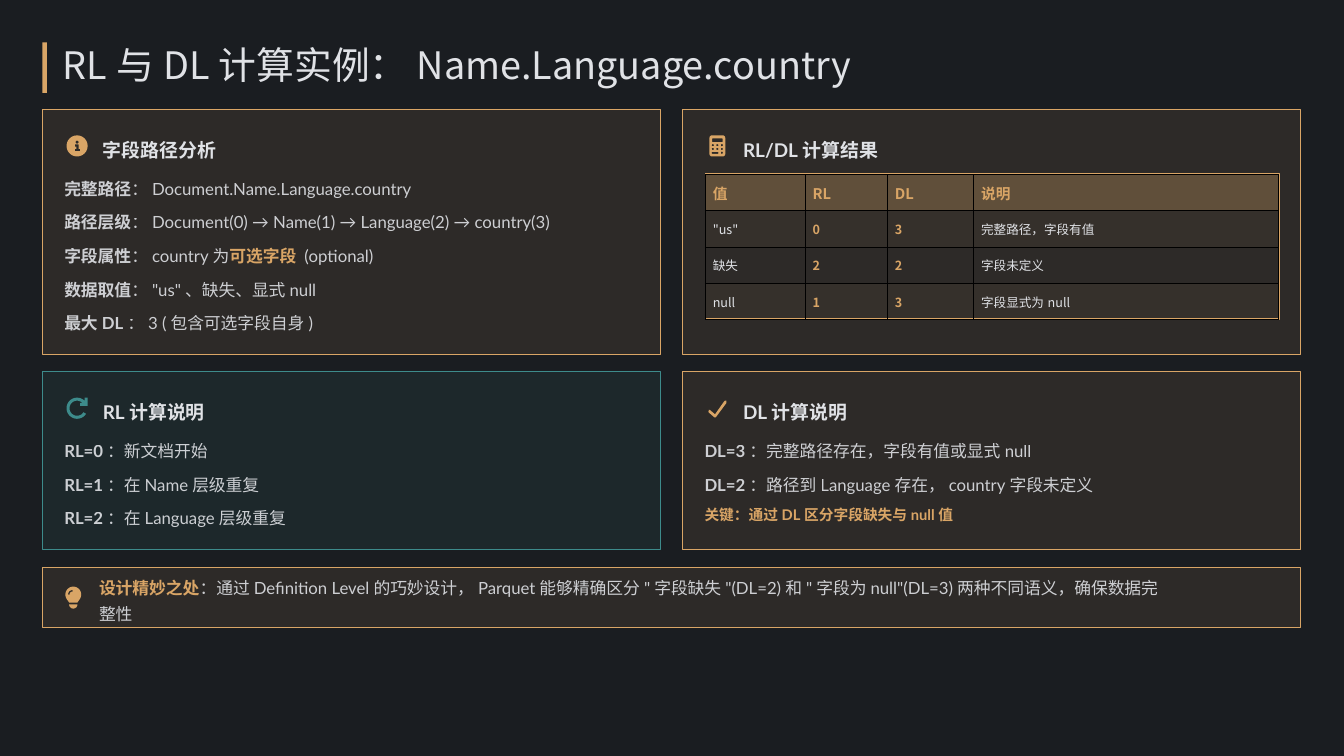
from math import cos, radians, sin

from lxml import etree
from pptx import Presentation
from pptx.dml.color import RGBColor
from pptx.enum.shapes import MSO_SHAPE as SHAPE
from pptx.enum.text import MSO_ANCHOR as ANCHOR
from pptx.oxml import parse_xml
from pptx.oxml.ns import nsdecls, qn
from pptx.util import Inches, Pt

BG = RGBColor(0x1A, 0x1D, 0x21)
GOLD = RGBColor(0xD9, 0xA5, 0x66)
TEAL = RGBColor(0x3D, 0x8B, 0x8B)
LIGHT = RGBColor(0xE0, 0xE2, 0xE6)
LATIN, CJK = "Lato", "Noto Sans CJK SC"

LEFT, GAP, PANEL_W = 0.56, 0.29, 8.18
RIGHT = LEFT + PANEL_W + GAP
ROW_STEP = 0.445


def set_alpha(parent, percent):
    """Make the solid fill directly inside an XML element see-through."""
    clr = parent.find(qn("a:solidFill")).find(qn("a:srgbClr"))
    etree.SubElement(clr, qn("a:alpha")).set("val", str(percent * 1000))


def style_run(r, size, color, bold=False, font=LATIN, alpha=100):
    r.font.size, r.font.bold, r.font.name = Pt(size), bold, font
    r.font.color.rgb = color
    rPr = r.font._element
    if alpha < 100:
        set_alpha(rPr, alpha)
    ea = etree.Element(qn("a:ea"), typeface=CJK)
    rPr.find(qn("a:latin")).addnext(ea)


def add_text(s, x, y, w, h, runs, size, spacing=1.3, font=LATIN):
    """Runs are (text, color, bold, alpha) tuples on one paragraph."""
    tf = s.shapes.add_textbox(Inches(x), Inches(y), Inches(w), Inches(h)).text_frame
    tf.word_wrap = True
    tf.vertical_anchor = ANCHOR.MIDDLE
    tf.margin_left = tf.margin_right = tf.margin_top = tf.margin_bottom = 0
    p = tf.paragraphs[0]
    p.line_spacing = spacing
    for text, color, bold, alpha in runs:
        r = p.add_run()
        r.text = text
        style_run(r, size, color, bold, font, alpha)


def labelled(label, text):
    return [(label, LIGHT, True, 90), (text, LIGHT, False, 90)]


def add_box(s, x, y, w, h, fill=None, line=None, alpha=100):
    sp = s.shapes.add_shape(SHAPE.RECTANGLE, Inches(x), Inches(y), Inches(w), Inches(h))
    sp.shadow.inherit = False
    if fill is None:
        sp.fill.background()
    else:
        sp.fill.solid()
        sp.fill.fore_color.rgb = fill
        if alpha < 100:
            set_alpha(sp._element.spPr, alpha)
    if line is None:
        sp.line.fill.background()
    else:
        sp.line.color.rgb, sp.line.width = line, Pt(1)


def arc(cx, cy, r, start=0, end=360, steps=24):
    angles = [radians(start + (end - start) * i / steps) for i in range(steps + 1)]
    return [(cx + r * cos(a), cy + r * sin(a)) for a in angles]


def round_rect(x, y, w, h, r):
    corners = [(x + w - r, y + h - r), (x + r, y + h - r), (x + r, y + r), (x + w - r, y + r)]
    return [pt for i, (cx, cy) in enumerate(corners)
            for pt in arc(cx, cy, r, 90 * i, 90 * i + 90, 4)]


# Icon outlines, in inches from the icon centre; inner outlines are holes
INFO = [
    arc(0, 0, 0.14),
    arc(0, -0.05, 0.02),
    [(-0.03, -0.02), (0.02, -0.02), (0.02, 0.04), (0.04, 0.04),
     (0.04, 0.07), (-0.03, 0.07), (-0.03, 0.04), (-0.01, 0.04), (-0.01, 0.01), (-0.03, 0.01)],
]
CALCULATOR = [
    round_rect(-0.105, -0.14, 0.21, 0.28, 0.035),
    round_rect(-0.07, -0.1, 0.14, 0.05, 0.01),
    *[arc(x, y, 0.015, steps=12) for y in (-0.01, 0.04) for x in (-0.06, 0, 0.06)],
    round_rect(-0.075, 0.08, 0.09, 0.025, 0.01),
    arc(0.06, 0.09, 0.015, steps=12),
]
REFRESH = [
    arc(0, 0, 0.14, 32, 315)
    + [(0.1, -0.14), (0.14, -0.14), (0.14, -0.03), (0.04, -0.03), (0.04, -0.07)]
    + arc(0, 0, 0.1, 315, 32),
]
CHECK = [
    [(0.1, -0.1), (0.12, -0.1), (0.12, -0.07), (-0.02, 0.12), (-0.04, 0.12), (-0.12, 0.05),
     (-0.11, 0.02), (-0.09, 0.03), (-0.03, 0.08), (0.09, -0.09)],
]
BULB = [
    arc(0, -0.04, 0.105, 140, 400) + [(0.055, 0.065), (-0.055, 0.065)],
    arc(0, 0.09, 0.055, 0, 180),
    arc(-0.01, -0.04, 0.06, 180, 270) + arc(-0.01, -0.04, 0.04, 270, 180),
]


def add_icon(s, cx, cy, outlines, color):
    outlines = [[(Inches(cx + x), Inches(cy + y)) for x, y in line] for line in outlines]
    builder = s.shapes.build_freeform(*outlines[0][0], scale=1.0)
    for i, line in enumerate(outlines):
        if i:
            builder.move_to(*line[0])
        builder.add_line_segments(line[1:], close=True)
    sp = builder.convert_to_shape()
    sp.shadow.inherit = False
    sp.fill.solid()
    sp.fill.fore_color.rgb = color
    sp.line.fill.background()


def add_title(s, x, y):
    add_box(s, x, y, 0.06, 0.67, GOLD)
    add_text(s, x + 0.27, y + 0.05, 10.46, 0.56,
             [("RL与DL计算实例：Name.Language.country", LIGHT, False, 100)], 36, 0.9, CJK)


def add_panel(s, x, y, h, heading, heading_w, icon, color, rows=()):
    add_box(s, x, y, PANEL_W, h, color, color, 10)
    add_icon(s, x + 0.46, y + 0.48, icon, color)
    add_text(s, x + 0.8, y + 0.29, heading_w, 0.39, [(heading, LIGHT, True, 100)], 18)
    for i, runs in enumerate(rows):
        add_text(s, x + 0.29, y + 0.84 + i * ROW_STEP, 7.72, 0.33, runs, 16)


def style_cell(cell, size, color, bold, alpha):
    cell.vertical_anchor = ANCHOR.MIDDLE
    style_run(cell.text_frame.paragraphs[0].runs[0], size, color, bold, CJK)
    tcPr = cell._tc.get_or_add_tcPr()
    for side in ("lnL", "lnR", "lnT", "lnB"):
        tcPr.append(parse_xml(
            f'<a:{side} {nsdecls("a")} w="12700"><a:solidFill>'
            f'<a:srgbClr val="000000"/></a:solidFill></a:{side}>'))
    if alpha:
        cell.fill.solid()
        cell.fill.fore_color.rgb = GOLD
        set_alpha(tcPr, alpha)
    else:
        cell.fill.background()


def add_result_table(s, x, y):
    data = [
        ("值", "RL", "DL", "说明"),
        ('"us"', "0", "3", "完整路径，字段有值"),
        ("缺失", "2", "2", "字段未定义"),
        ("null", "1", "3", "字段显式为null"),
    ]
    widths, row_h = (1.32, 1.09, 1.14, 4.04), 0.48
    add_box(s, x, y, 7.6, 1.92, line=GOLD)
    table = s.shapes.add_table(len(data), len(widths), Inches(x), Inches(y + 0.01),
                               Inches(sum(widths)), Inches(row_h * len(data))).table
    table.first_row = table.horz_banding = False
    for col, w in zip(table.columns, widths):
        col.width = Inches(w)
    for i, values in enumerate(data):
        for j, value in enumerate(values):
            cell = table.cell(i, j)
            cell.text = value
            strong = i == 0 or j in (1, 2)
            alpha = 30 if i == 0 else 5 * (i % 2)
            style_cell(cell, 12 if i else 14, GOLD if strong else LIGHT, strong, alpha)


def add_note(s, x, y):
    add_box(s, x, y, 2 * PANEL_W + GAP, 0.79, GOLD, GOLD, 10)
    add_icon(s, x + 0.41, y + 0.395, BULB, GOLD)
    text = ('：通过Definition Level的巧妙设计，Parquet能够精确区分"字段缺失"(DL=2)'
            '和"字段为null"(DL=3)两种不同语义，确保数据完整性')
    add_text(s, x + 0.75, y + 0.23, 14.08, 0.33,
             [("设计精妙之处", GOLD, True, 100), (text, LIGHT, False, 90)], 16)


def main():
    prs = Presentation()
    prs.slide_width, prs.slide_height = Inches(17.78), Inches(10)
    s = prs.slides.add_slide(prs.slide_layouts[6])
    s.background.fill.solid()
    s.background.fill.fore_color.rgb = BG

    add_title(s, LEFT, 0.56)
    top, bottom = 1.45, 4.92
    add_panel(s, LEFT, top, 3.24, "字段路径分析", 1.62, INFO, GOLD, [
        labelled("完整路径", "：Document.Name.Language.country"),
        labelled("路径层级", "：Document(0) → Name(1) → Language(2) → country(3)"),
        labelled("字段属性", "：country为")
        + [("可选字段", GOLD, True, 100), (" (optional)", LIGHT, False, 90)],
        labelled("数据取值", '："us"、缺失、显式null'),
        labelled("最大DL", "：3 (包含可选字段自身)"),
    ])
    add_panel(s, RIGHT, top, 3.24, "RL/DL计算结果", 1.85, CALCULATOR, GOLD)
    add_result_table(s, RIGHT + 0.3, top + 0.85)
    add_panel(s, LEFT, bottom, 2.35, "RL计算说明", 1.42, REFRESH, TEAL, [
        labelled("RL=0", "：新文档开始"),
        labelled("RL=1", "：在Name层级重复"),
        labelled("RL=2", "：在Language层级重复"),
    ])
    add_panel(s, RIGHT, bottom, 2.35, "DL计算说明", 1.44, CHECK, GOLD, [
        labelled("DL=3", "：完整路径存在，字段有值或显式null"),
        labelled("DL=2", "：路径到Language存在，country字段未定义"),
    ])
    add_text(s, RIGHT + 0.29, bottom + 1.73, 7.71, 0.28,
             [("关键：通过DL区分字段缺失与null值", GOLD, True, 100)], 14, 1.2)
    add_note(s, LEFT, 7.51)
    prs.save("out.pptx")


if __name__ == "__main__":
    main()
